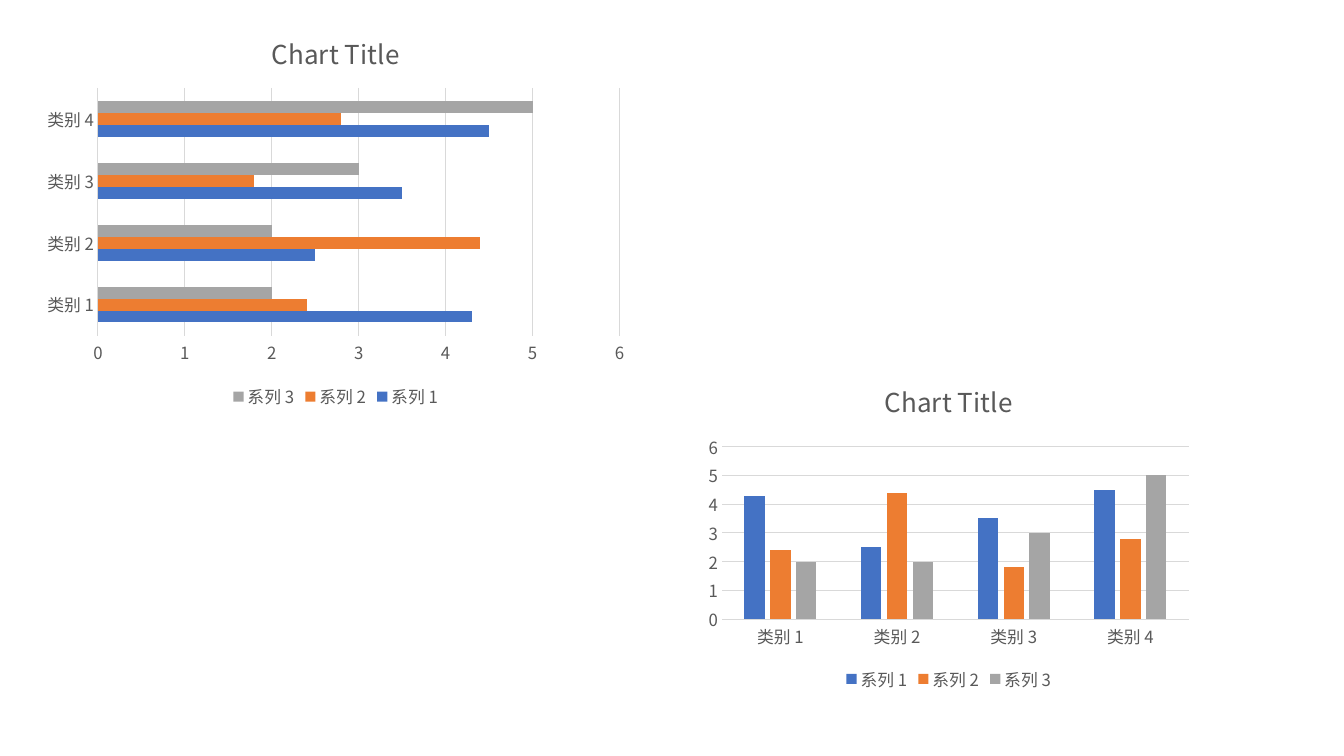
from dataclasses import dataclass

from lxml import etree
from pptx import Presentation
from pptx.chart.data import CategoryChartData
from pptx.dml.color import RGBColor
from pptx.enum.chart import XL_CHART_TYPE, XL_LEGEND_POSITION, XL_TICK_MARK
from pptx.oxml.ns import qn
from pptx.util import Inches, Pt

BAR = XL_CHART_TYPE.BAR_CLUSTERED
COLUMN = XL_CHART_TYPE.COLUMN_CLUSTERED
BOTTOM = XL_LEGEND_POSITION.BOTTOM
NO_TICK = XL_TICK_MARK.NONE


@dataclass(frozen=True)
class Theme:
    font: str = "Noto Sans CJK SC"
    text: RGBColor = RGBColor(0x59, 0x59, 0x59)
    grid: RGBColor = RGBColor(0xD9, 0xD9, 0xD9)
    series: tuple = ("4472C4", "ED7D31", "A5A5A5")
    title_size: float = 18.6
    label_size: float = 12
    line: float = 0.75


theme = Theme()


def style_font(font, size):
    font.name = theme.font
    font.size = Pt(size)
    font.bold = False
    font.color.rgb = theme.text


def style_line(line):
    line.color.rgb = theme.grid
    line.width = Pt(theme.line)


prs = Presentation()
prs.slide_width = Inches(13.33)
prs.slide_height = Inches(7.5)
s = prs.slides.add_slide(prs.slide_layouts[6])

# Data shared by both charts
data = CategoryChartData()
data.categories = ["类别 1", "类别 2", "类别 3", "类别 4"]
data.add_series("系列 1", (4.3, 2.5, 3.5, 4.5))
data.add_series("系列 2", (2.4, 4.4, 1.8, 2.8))
data.add_series("系列 3", (2, 2, 3, 5))

# Chart type, left, top, width, height, overlap
charts = [
    (BAR, 0.35, 0.13, 5.96, 3.97, 0),
    (COLUMN, 6.93, 3.59, 4.96, 3.31, -27),
]

for kind, left, top, width, height, overlap in charts:
    chart = s.shapes.add_chart(kind, Inches(left), Inches(top),
                               Inches(width), Inches(height), data).chart
    style_font(chart.font, theme.label_size)

    # Title
    chart.has_title = True
    tf = chart.chart_title.text_frame
    tf.text = "Chart Title"
    style_font(tf.paragraphs[0].runs[0].font, theme.title_size)
    chart.chart_title.include_in_layout = False

    # Legend
    chart.has_legend = True
    chart.legend.position = BOTTOM
    chart.legend.include_in_layout = False
    style_font(chart.legend.font, theme.label_size)

    # Axes
    for axis in (chart.category_axis, chart.value_axis):
        axis.major_tick_mark = NO_TICK
        axis.minor_tick_mark = NO_TICK
        style_font(axis.tick_labels.font, theme.label_size)
    style_line(chart.category_axis.format.line)
    chart.value_axis.format.line.fill.background()
    chart.value_axis.has_major_gridlines = True
    style_line(chart.value_axis.major_gridlines.format.line)

    # Bars
    plot = chart.plots[0]
    plot.gap_width = 219
    plot.overlap = overlap
    plot.vary_by_categories = False
    for series, color in zip(plot.series, theme.series):
        series.format.fill.solid()
        series.format.fill.fore_color.rgb = RGBColor.from_string(color)
        series.invert_if_negative = False

    # East Asian typeface beside each Latin one
    for latin in list(chart.element.iter(qn("a:latin"))):
        latin.addnext(etree.Element(qn("a:ea"), typeface=theme.font))

prs.save("out.pptx")
